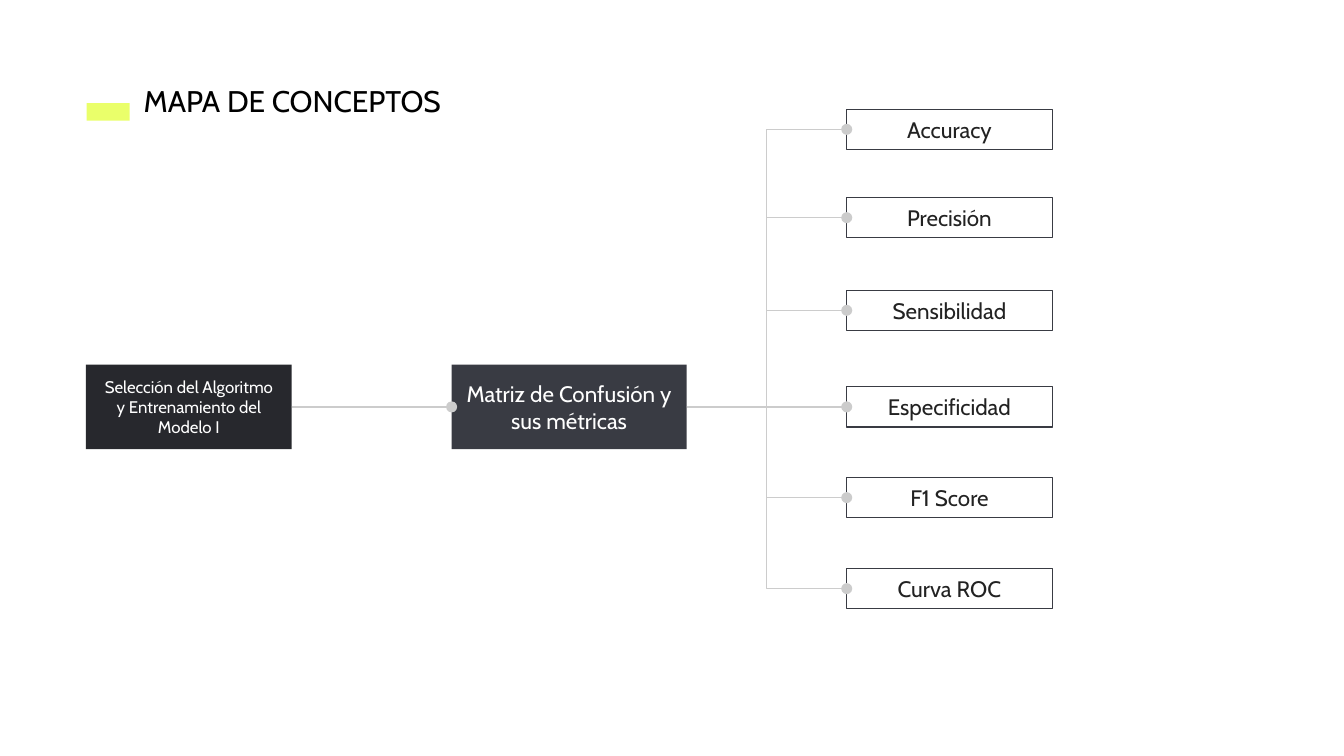
from dataclasses import dataclass
from typing import Any, Optional

from lxml.etree import SubElement
from pptx import Presentation
from pptx.dml.color import RGBColor
from pptx.enum.shapes import MSO_CONNECTOR, MSO_SHAPE
from pptx.enum.text import MSO_ANCHOR, PP_ALIGN
from pptx.oxml.ns import qn
from pptx.util import Inches, Pt


@dataclass(frozen=True)
class Theme:
    face: str = "Cabin"
    black: str = "000000"
    white: str = "FFFFFF"
    lime: str = "EAFF6A"
    dark: str = "27282D"
    slate: str = "393B43"
    ink: str = "222222"
    wire: str = "CCCCCC"
    head: float = 16
    body: float = 12
    small: float = 9
    stroke: float = 0.75


@dataclass(frozen=True)
class Box:
    col: float
    mid: float
    wide: float
    high: float
    fill: Optional[str] = None
    edge: Optional[str] = None
    text: str = ""
    size: float = 12
    color: str = "000000"
    align: Any = PP_ALIGN.CENTER
    anchor: Any = MSO_ANCHOR.MIDDLE


LOOK = Theme()
COLS, ROWS = 1000, 562.5
CELL = Inches(0.01)
LEFT, RIGHT = 1, 3
PAD = Inches(0.1)
FRAME = {"word_wrap": True, "margin_left": PAD, "margin_right": PAD,
         "margin_top": PAD, "margin_bottom": PAD}

AXIS = 302.75
TITLE = Box(97, 75, 269, 47, text="MAPA DE CONCEPTOS", size=LOOK.head,
            color=LOOK.black, align=PP_ALIGN.LEFT, anchor=MSO_ANCHOR.TOP)
MARK = Box(64.4, 83.3, 32, 13, LOOK.lime)
ROOT = Box(64, AXIS, 153, 63, LOOK.dark,
           text="Selección del Algoritmo y Entrenamiento del Modelo I",
           size=LOOK.small, color=LOOK.white)
HUB = Box(336, AXIS, 175, 63, LOOK.slate,
          text="Matriz de Confusión y sus métricas",
          size=LOOK.body, color=LOOK.white)
LEAVES = {"Accuracy": 96.3, "Precisión": 162, "Sensibilidad": 231,
          "Especificidad": AXIS, "F1 Score": 370.3, "Curva ROC": 438}


def apply(item: Any, values: dict) -> None:
    for name, value in values.items():
        setattr(item, name, value)


def write(shape: Any, box: Box) -> None:
    frame = shape.text_frame
    apply(frame, {**FRAME, "vertical_anchor": box.anchor})
    para = frame.paragraphs[0]
    para.alignment = box.align
    run = para.add_run()
    run.text = box.text
    apply(run.font, {"name": LOOK.face, "size": Pt(box.size)})
    run.font.color.rgb = RGBColor.from_string(box.color)


def draw(slide: Any, box: Box) -> Any:
    area = [int(n * CELL) for n in
            (box.col, box.mid - box.high / 2, box.wide, box.high)]
    if box.fill is None:
        shape = slide.shapes.add_textbox(*area)
    else:
        shape = slide.shapes.add_shape(MSO_SHAPE.RECTANGLE, *area)
        shape.shadow.inherit = False
        shape.fill.solid()
        shape.fill.fore_color.rgb = RGBColor.from_string(box.fill)
        if box.edge:
            shape.line.color.rgb = RGBColor.from_string(box.edge)
            shape.line.width = Pt(LOOK.stroke)
        else:
            shape.line.fill.background()
    if box.text:
        write(shape, box)
    return shape


def link(slide: Any, start: Any, end: Any) -> None:
    wire = slide.shapes.add_connector(MSO_CONNECTOR.ELBOW, 0, 0, 0, 0)
    wire.begin_connect(start, RIGHT)
    wire.end_connect(end, LEFT)
    wire.line.color.rgb = RGBColor.from_string(LOOK.wire)
    wire.line.width = Pt(LOOK.stroke)
    props = wire.line._get_or_add_ln()
    SubElement(props, qn("a:tailEnd"), type="oval", w="med", len="med")
    SubElement(wire._element.spPr, qn("a:effectLst"))


def main() -> None:
    deck = Presentation()
    apply(deck, {"slide_width": int(COLS * CELL),
                 "slide_height": int(ROWS * CELL)})
    slide = deck.slides.add_slide(deck.slide_layouts[6])
    draw(slide, MARK)
    draw(slide, TITLE)
    root, hub = draw(slide, ROOT), draw(slide, HUB)
    leaves = [draw(slide, Box(630, mid, 153, 30, LOOK.white, LOOK.slate,
                              text, LOOK.body, LOOK.ink))
              for text, mid in LEAVES.items()]
    for leaf in leaves:
        link(slide, hub, leaf)
    link(slide, root, hub)
    deck.save("out.pptx")


if __name__ == "__main__":
    main()
